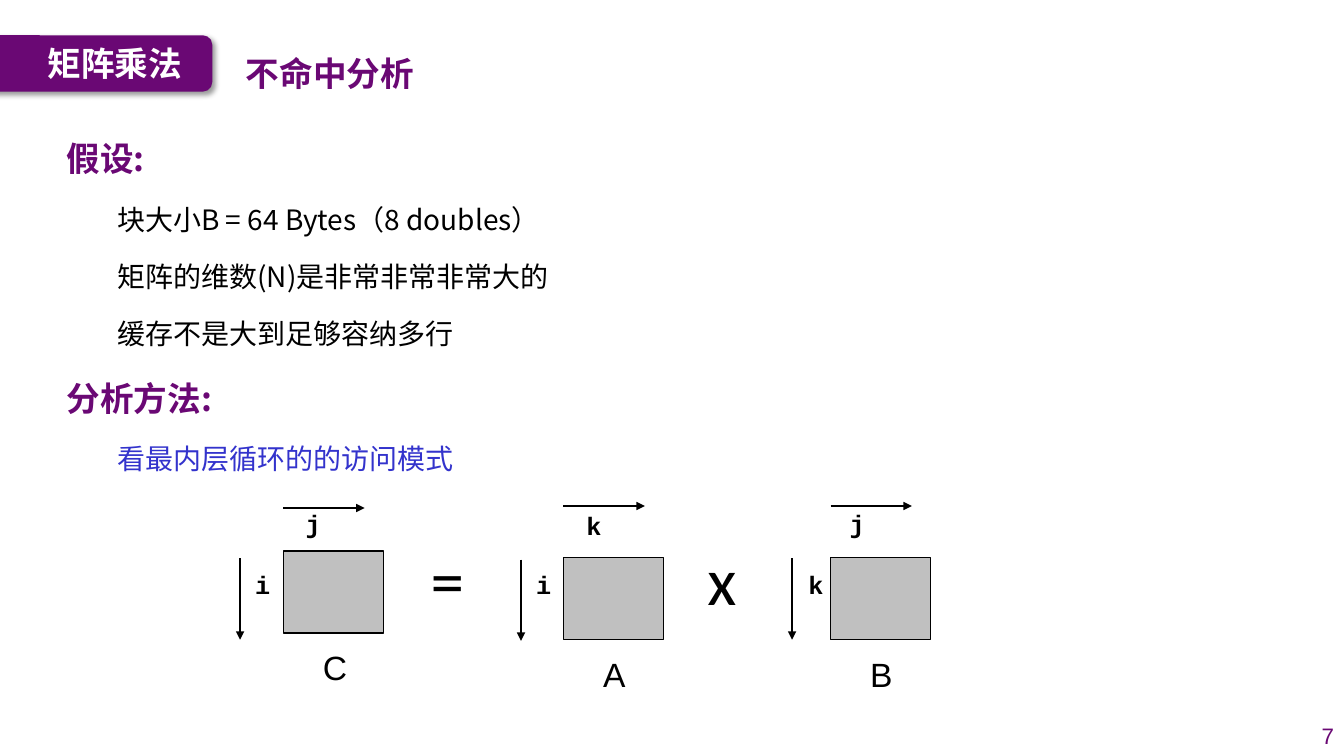
from pptx import Presentation
from pptx.dml.color import RGBColor as Rgb
from pptx.enum.shapes import MSO_CONNECTOR as Link, MSO_SHAPE as Form
from pptx.enum.text import MSO_ANCHOR as Anchor, PP_ALIGN as Align
from pptx.oxml.ns import qn
from pptx.util import Cm, Pt
from lxml.etree import SubElement as Sub

INK = {"plum": "6A0874", "black": "000000", "white": "FFFFFF", "blue": "3333CC", "gray": "C0C0C0"}
HAN = "Noto Sans CJK SC"

deck = Presentation()
deck.slide_width, deck.slide_height = Cm(33.87), Cm(19.05)
slide = deck.slides.add_slide(deck.slide_layouts[5])
shapes = slide.shapes


def style(para, text, size, face, ink, bold=False):
    para.text = text
    font = para.font
    font.size, font.name, font.bold = Pt(size), face, bold
    font.color.rgb = Rgb.from_string(INK[ink])
    if face == HAN:
        base = para._p.pPr.find(qn("a:defRPr"))
        Sub(base, qn("a:ea")).set("typeface", face)


def label(text, x, y, w, h, size, face, ink="black", bold=False, pad=0):
    box = shapes.add_textbox(Cm(x), Cm(y), Cm(w), Cm(h))
    frame = box.text_frame
    frame.word_wrap = True
    frame.margin_left = frame.margin_right = Cm(pad)
    frame.margin_top = frame.margin_bottom = Cm(pad / 2)
    style(frame.paragraphs[0], text, size, face, ink, bold)
    return frame


badge = shapes.add_shape(Form.ROUNDED_RECTANGLE, Cm(-0.5), Cm(0.89), Cm(5.85), Cm(1.42))
badge.fill.solid()
badge.fill.fore_color.rgb = Rgb.from_string(INK["plum"])
badge.line.fill.background()
badge.shadow.inherit = False
glow = Sub(badge._element.spPr.find(qn("a:effectLst")), qn("a:outerShdw"),
           blurRad=str(Pt(4)), dist=str(Pt(3)), dir="2700000", algn="tl", rotWithShape="0")
tint = Sub(glow, qn("a:srgbClr"), val=INK["black"])
Sub(tint, qn("a:alpha"), val="40000")

title = shapes.title
title.left, title.top, title.width, title.height = Cm(0.95), Cm(0.89), Cm(4.1), Cm(1.4)
title.text_frame.vertical_anchor = Anchor.MIDDLE
style(title.text_frame.paragraphs[0], "矩阵乘法", 24, HAN, "white", True)
title.text_frame.paragraphs[0].alignment = Align.LEFT
badge._element.getparent().remove(badge._element)
title._element.addprevious(badge._element)

page = label("7", 32.47, 18.03, 1.4, 1.02, 16, "Arial", "plum", pad=0.25)
page.vertical_anchor = Anchor.MIDDLE
page.paragraphs[0].alignment = Align.RIGHT

topic = label("不命中分析", 5.95, 0.69, 5.4, 1.63, 24, HAN, "plum", True, 0.25)
topic.paragraphs[0].line_spacing = 1.5

body = label("假设:", 1.65, 2.97, 16.8, 8.94, 24, HAN, "plum", True)
body.paragraphs[0].line_spacing = 1.5
for text, level, ink in [
    ("块大小B = 64 Bytes（8 doubles）", 1, "black"),
    ("矩阵的维数(N)是非常非常非常大的", 1, "black"),
    ("缓存不是大到足够容纳多行", 1, "black"),
    ("分析方法:", 0, "plum"),
    ("看最内层循环的的访问模式", 1, "blue"),
]:
    para = body.add_paragraph()
    para.level = level
    para.line_spacing, para.space_before = 1.5, Pt(5)
    style(para, text, 20 if level else 24, HAN, ink, not level)
for para in body.paragraphs:
    para._p.pPr.set("marL", str(Cm(1.3 if para.level else 0.03)))
    para._p.pPr.set("indent", "0")

SIDE, TALL, REACH = 2.52, 2.06, 2.05
for name, x, y, row, row_x, down_x, down_y, col, col_x, col_y, over_y in [
    ("C", 7.14, 13.89, "i", 6.43, 6.05, 14.07, "j", 7.7, 12.8, 12.8),
    ("A", 14.2, 14.05, "i", 13.51, 13.13, 14.1, "k", 14.78, 12.85, 12.75),
    ("B", 20.93, 14.05, "k", 20.37, 19.96, 14.07, "j", 21.41, 12.8, 12.75),
]:
    block = shapes.add_shape(Form.RECTANGLE, Cm(x), Cm(y), Cm(SIDE), Cm(TALL))
    block.shadow.inherit = False
    block.fill.solid()
    block.fill.fore_color.rgb = Rgb.from_string(INK["gray"])
    block.line.color.rgb = Rgb.from_string(INK["black"])
    block.line.width = Pt(1)
    label(name, x + 1, y + 2.42, 0.7, 1.07, 24, "Arial")
    label(row, row_x, 14.35, 0.46, 0.86, 18, "Courier New", bold=True)
    label(col, col_x, col_y, 0.46, 0.86, 18, "Courier New", bold=True)
    for ax, ay, dx, dy in [(x, over_y, REACH, 0), (down_x, down_y, 0, REACH)]:
        arrow = shapes.add_connector(Link.STRAIGHT, Cm(ax), Cm(ay), Cm(ax + dx), Cm(ay + dy))
        arrow.line.color.rgb = Rgb.from_string(INK["black"])
        arrow.line.width = Pt(2)
        Sub(arrow.line._get_or_add_ln(), qn("a:tailEnd"), type="triangle")
        Sub(arrow._element.spPr, qn("a:effectLst"))

for sign, x in [("=", 10.85), ("x", 17.83)]:
    label(sign, x, 13.56, 0.92, 2.16, 48, "Calibri")

deck.save("out.pptx")
